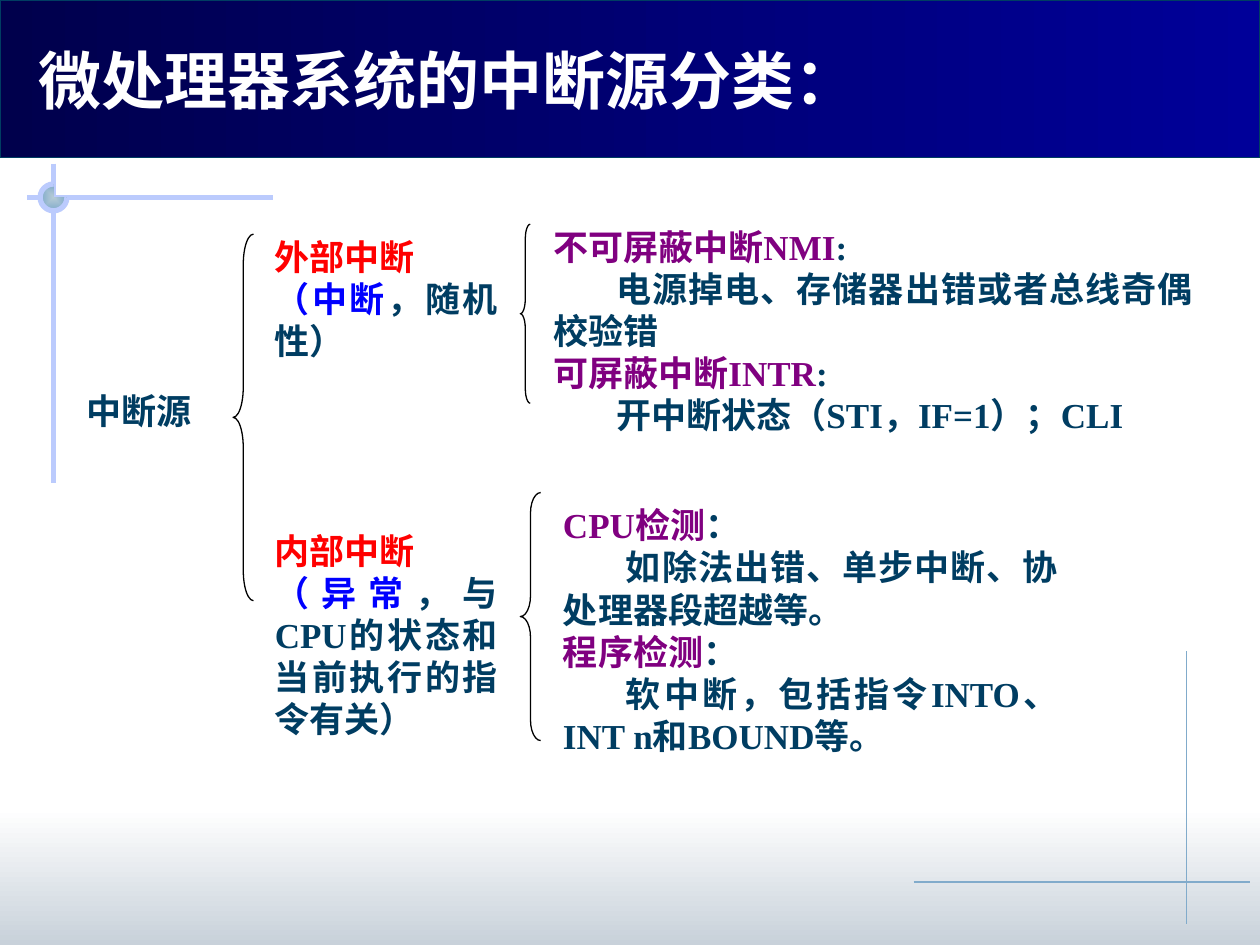
from dataclasses import dataclass

from lxml.etree import SubElement
from pptx import Presentation
from pptx.dml.color import RGBColor as RGB
from pptx.enum.shapes import MSO_CONNECTOR as Connector, MSO_SHAPE as Shape
from pptx.enum.text import PP_ALIGN as Align
from pptx.oxml.ns import qn
from pptx.util import Cm, Pt


@dataclass(frozen=True)
class Theme:
    ink: str = "003D62"
    red: str = "FF0000"
    blue: str = "0000FF"
    purple: str = "800080"
    white: str = "FFFFFF"
    black: str = "000000"
    navy: str = "000099"
    midnight: str = "00004C"
    mist: str = "C8D1DA"
    haze: str = "B6CBD6"
    steel: str = "81ABCB"
    lavender: str = "BBCBFD"
    latin: str = "Times New Roman"
    label: str = "Arial"
    cjk: str = "Noto Sans CJK JP"
    title_size: int = 36
    body_size: int = 20
    leading: float = 1.2
    thin: float = 0.75
    thick: float = 3


class SlideBuilder:
    def __init__(self, slide, theme):
        self.slide = slide
        self.theme = theme

    def outline(self, line, color, width):
        line.color.rgb = RGB.from_string(color)
        line.width = Pt(width)

    def panel(self, kind, box, colors, angle=0, border=None, width=0):
        panel = self.slide.shapes.add_shape(kind, *map(Cm, box))
        panel.shadow.inherit = False
        panel.fill.gradient()
        panel.fill.gradient_angle = angle
        for position, (stop, color) in enumerate(zip(panel.fill.gradient_stops, colors)):
            stop.position = position
            stop.color.rgb = RGB.from_string(color)
        if border:
            self.outline(panel.line, border, width)
        else:
            panel.line.fill.background()
        return panel

    def knob(self, box, colors, border):
        knob = self.panel(Shape.ARC, box, colors, 0, border, self.theme.thick)
        knob.adjustments[0] = 0
        knob.adjustments[1] = 162
        gradient = knob.element.spPr.find(qn("a:gradFill"))
        gradient.remove(gradient.find(qn("a:lin")))
        center = SubElement(gradient, qn("a:path"), {"path": "rect"})
        SubElement(center, qn("a:fillToRect"), dict.fromkeys("ltrb", "50000"))

    def rule(self, start, end, color, width):
        rule = self.slide.shapes.add_connector(
            Connector.STRAIGHT, *map(Cm, (*start, *end)))
        self.outline(rule.line, color, width)
        SubElement(rule.element.spPr, qn("a:effectLst"))

    def brace(self, box, curl):
        brace = self.slide.shapes.add_shape(Shape.LEFT_BRACE, *map(Cm, box))
        brace.shadow.inherit = False
        brace.fill.background()
        brace.adjustments[0] = curl
        self.outline(brace.line, self.theme.black, self.theme.thin)

    def text(self, box, paragraphs, font, size, align=Align.LEFT,
             inset=(0.25, 0.13), wrap=True):
        frame = self.slide.shapes.add_textbox(*map(Cm, box)).text_frame
        frame.word_wrap = wrap
        frame.margin_left = frame.margin_right = Cm(inset[0])
        frame.margin_top = frame.margin_bottom = Cm(inset[1])
        for index, (runs, indent, gap) in enumerate(paragraphs):
            paragraph = frame.add_paragraph() if index else frame.paragraphs[0]
            paragraph.alignment = align
            paragraph.line_spacing = Pt(size * self.theme.leading)
            paragraph.space_before = Pt(gap)
            if indent:
                properties = paragraph._p.get_or_add_pPr()
                properties.set("marL", "0")
                properties.set("indent", str(Cm(indent)))
            for words, color in runs:
                run = paragraph.add_run()
                run.text = words
                run.font.size = Pt(size)
                run.font.bold = True
                run.font.name = font
                run.font.color.rgb = RGB.from_string(color)
                SubElement(run._r.get_or_add_rPr(), qn("a:ea"),
                           {"typeface": self.theme.cjk})

    def body(self, box, paragraphs):
        self.text(box, paragraphs, self.theme.latin, self.theme.body_size,
                  Align.JUSTIFY, (0.05, 0.03))

    def details(self, box, entries, colon):
        paragraphs = []
        for heading, detail in entries:
            paragraphs.append(([(heading, self.theme.purple), (colon, self.theme.ink)], 0, 0))
            paragraphs.append(([(detail, self.theme.ink)], 1.27, 0))
        self.body(box, paragraphs)

    def categories(self, box, entries, gap):
        paragraphs = []
        for index, (heading, term, remark) in enumerate(entries):
            paragraphs.append(([(heading, self.theme.red)], 0, gap if index else 0))
            paragraphs.append(([(term, self.theme.blue), (remark, self.theme.ink)], 0, 0))
        self.body(box, paragraphs)


def main():
    theme = Theme()
    deck = Presentation()
    deck.slide_width, deck.slide_height = Cm(25.4), Cm(19.05)
    page = SlideBuilder(deck.slides.add_slide(deck.slide_layouts[6]), theme)

    page.panel(Shape.RECTANGLE, (0, 16.3, 25.4, 2.75), (theme.white, theme.mist), 270)
    page.rule((23.92, 13.13), (23.92, 18.63), theme.steel, theme.thin)
    page.rule((5.5, 3.98), (0.55, 3.98), theme.lavender, theme.thick)
    page.rule((1.08, 3.3), (1.08, 9.73), theme.lavender, theme.thick)
    page.knob((0.81, 3.71, 0.54, 0.54), (theme.haze, theme.steel), theme.lavender)
    page.panel(Shape.RECTANGLE, (0, 0, 25.4, 3.18), (theme.navy, theme.midnight),
               180, theme.ink, theme.thin)
    page.rule((18.42, 17.78), (25.19, 17.78), theme.steel, theme.thin)

    page.brace((4.7, 4.72, 0.41, 7.39), 1.5)
    page.categories((5.49, 4.72, 4.6, 7.59), [
        ("外部中断", "（中断", "，随机性）"),
        ("内部中断", "（异常", "，与CPU的状态和当前执行的指令有关）"),
    ], gap=96)
    page.brace((10.49, 4.52, 0.2, 3.61), 1.5)
    page.brace((10.49, 9.93, 0.41, 5), 1.02)
    page.details((11.1, 4.52, 13, 2.79), [
        ("不可屏蔽中断NMI", "电源掉电、存储器出错或者总线奇偶校验错"),
        ("可屏蔽中断INTR", "开中断状态（STI，IF=1）；CLI"),
    ], ":")
    page.details((11.3, 10.13, 10.08, 4.19), [
        ("CPU检测", "如除法出错、单步中断、协处理器段超越等。"),
        ("程序检测", "软中断，包括指令INTO、INT n和BOUND等。"),
    ], "：")
    page.text((1.5, 7.72, 2.79, 1.12), [([("中断源", theme.ink)], 0, 0)],
              theme.label, theme.body_size)
    page.text((0.53, 0.71, 16.03, 1.78),
              [([("微处理器系统的中断源分类：", theme.white)], 0, 0)],
              theme.cjk, theme.title_size, wrap=False)

    deck.save("out.pptx")


if __name__ == "__main__":
    main()
